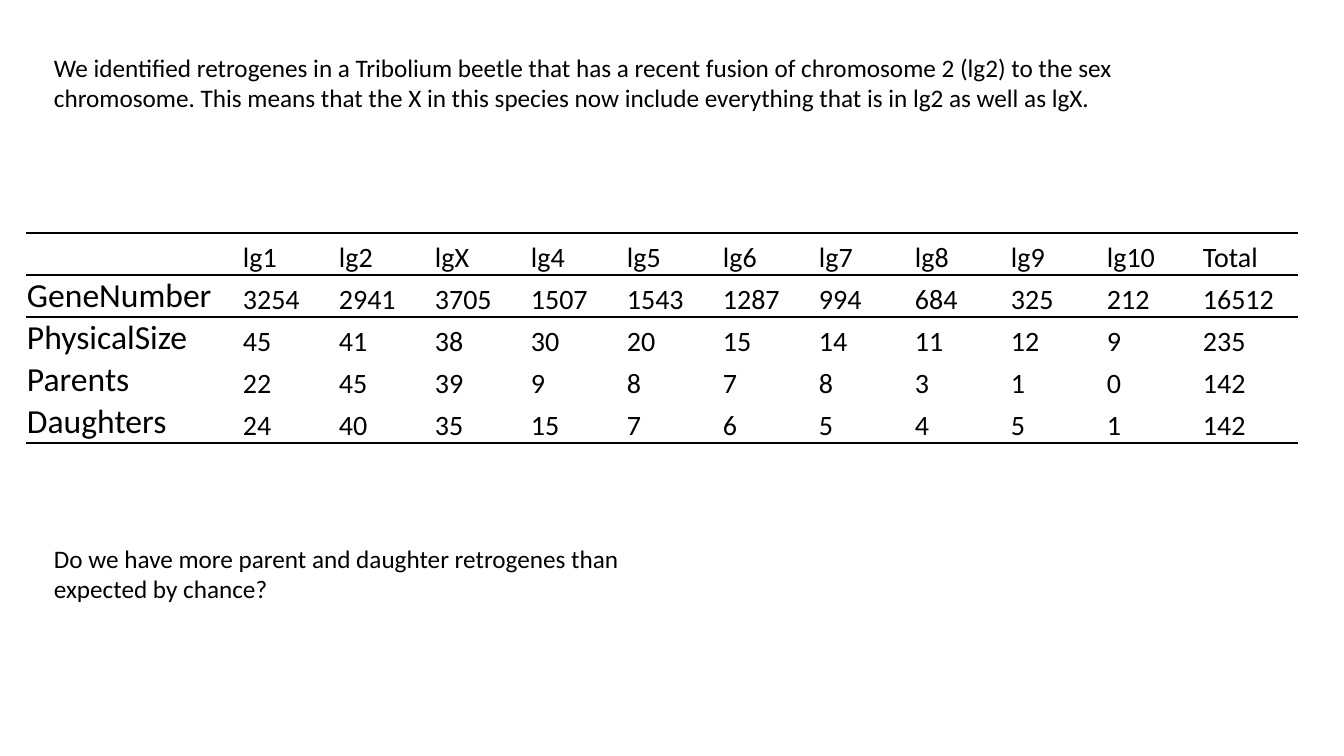
from lxml import etree
from pptx import Presentation
from pptx.dml.color import RGBColor
from pptx.enum.text import MSO_ANCHOR
from pptx.oxml.ns import qn
from pptx.util import Emu, Pt

BOTTOM = MSO_ANCHOR.BOTTOM
BLACK = RGBColor(0, 0, 0)
FONT = "Calibri"
PX_PER_INCH = 100.8
BLANK_LAYOUT = 6
NO_STYLE_NO_GRID = "{2D5ABB26-0587-4C30-8999-92F81FD0307C}"

INTRO = (
    "We identified retrogenes in a Tribolium beetle that has a recent fusion of "
    "chromosome 2 (lg2) to the sex chromosome. This means that the X in this species "
    "now include everything that is in lg2 as well as lgX."
)
QUESTION = "Do we have more parent and daughter retrogenes than expected by chance?"

LINKAGE_GROUPS = [
    ["", "lg1", "lg2", "lgX", "lg4", "lg5", "lg6", "lg7", "lg8", "lg9", "lg10", "Total"],
    ["GeneNumber", 3254, 2941, 3705, 1507, 1543, 1287, 994, 684, 325, 212, 16512],
    ["PhysicalSize", 45, 41, 38, 30, 20, 15, 14, 11, 12, 9, 235],
    ["Parents", 22, 45, 39, 9, 8, 7, 8, 3, 1, 0, 142],
    ["Daughters", 24, 40, 35, 15, 7, 6, 5, 4, 5, 1, 142],
]
LABEL_WIDTH, VALUE_WIDTH, ROW_HEIGHT = 216, 96, 42


def px(length):
    return Emu(round(length * 914400 / PX_PER_INCH))


def add_span(para, text, size):
    span = para.add_run()
    span.text = text
    span.font.name = FONT
    span.font.size = Pt(size)
    span.font.color.rgb = BLACK


def add_text(page, left, top, width, height, text):
    box = page.shapes.add_textbox(px(left), px(top), px(width), px(height))
    box.text_frame.word_wrap = True
    add_span(box.text_frame.paragraphs[0], text, 18)


def add_rule(cell, side):
    """Draw a 1 pt line on one side of a cell: lnT or lnB."""
    line = etree.SubElement(cell._tc.get_or_add_tcPr(), qn(f"a:{side}"), w=str(Pt(1)))
    fill = etree.SubElement(line, qn("a:solidFill"))
    etree.SubElement(fill, qn("a:srgbClr"), val=str(BLACK))


def format_cell(cell, text, size, rules):
    cell.margin_left = cell.margin_right = cell.margin_top = px(1)
    cell.margin_bottom = 0
    cell.vertical_anchor = BOTTOM
    for side in rules:
        add_rule(cell, side)
    cell.fill.background()
    if text:
        add_span(cell.text_frame.paragraphs[0], text, size)


def add_data_table(page, left, top, records):
    row_count, column_count = len(records), len(records[0])
    width = LABEL_WIDTH + VALUE_WIDTH * (column_count - 1)
    frame = page.shapes.add_table(
        row_count, column_count, px(left), px(top), px(width), px(ROW_HEIGHT * row_count)
    )
    table = frame.table
    table.first_row = table.horz_banding = False
    table._tbl.tblPr.find(qn("a:tableStyleId")).text = NO_STYLE_NO_GRID
    for index, column in enumerate(table.columns):
        column.width = px(VALUE_WIDTH if index else LABEL_WIDTH)

    rules = {0: ["lnT", "lnB"], 1: ["lnT"], row_count - 1: ["lnB"]}
    for row_index, record in enumerate(records):
        table.rows[row_index].height = px(ROW_HEIGHT)
        for column_index, value in enumerate(record):
            size = 20 if column_index else 24
            cell = table.cell(row_index, column_index)
            format_cell(cell, str(value), size, rules.get(row_index, []))


def main():
    deck = Presentation()
    deck.slide_width, deck.slide_height = px(1344), px(756)
    page = deck.slides.add_slide(deck.slide_layouts[BLANK_LAYOUT])
    add_data_table(page, 26, 233, LINKAGE_GROUPS)
    add_text(page, 44, 47, 1163, 72, INTRO)
    add_text(page, 44, 538, 672, 72, QUESTION)
    deck.save("out.pptx")


if __name__ == "__main__":
    main()
